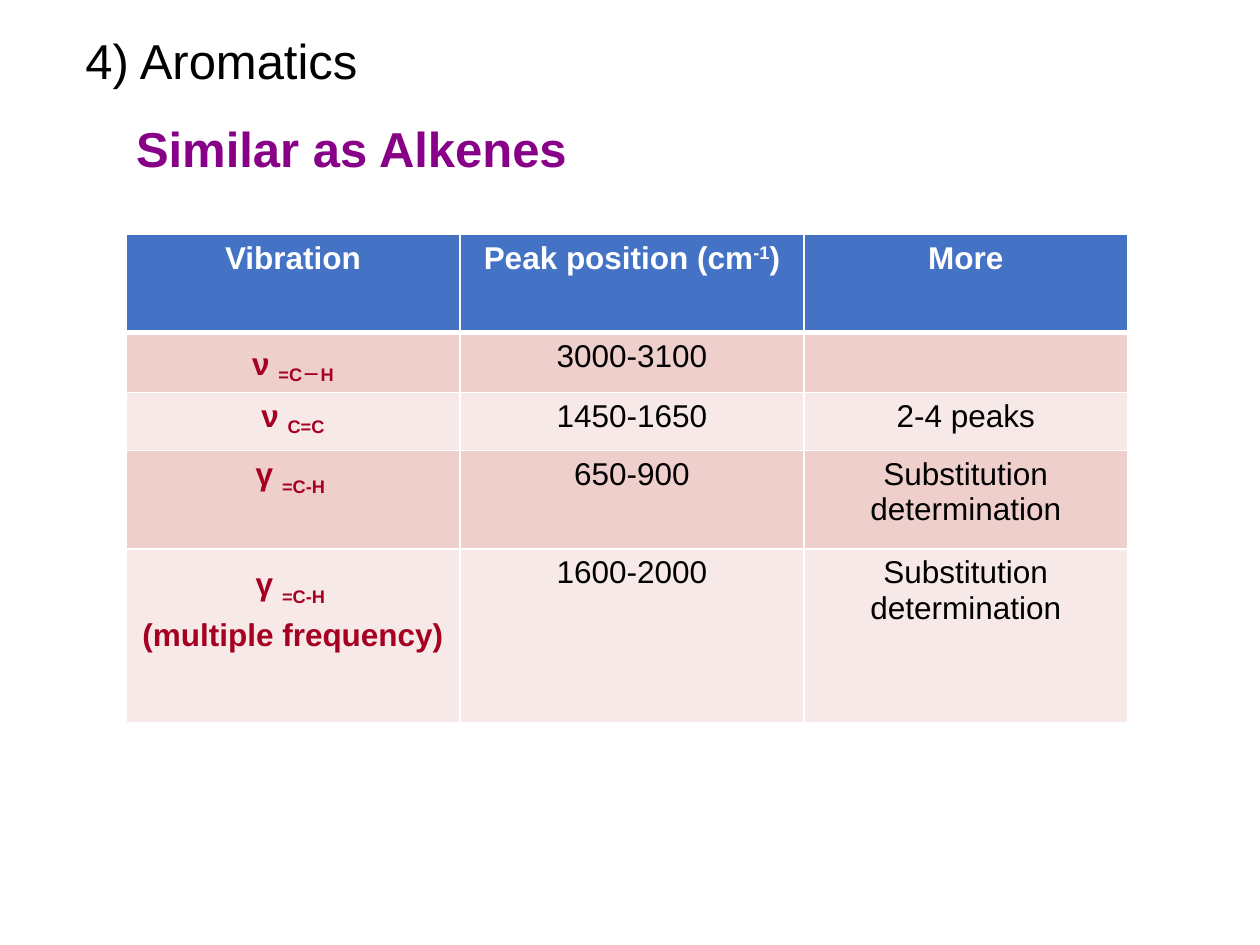
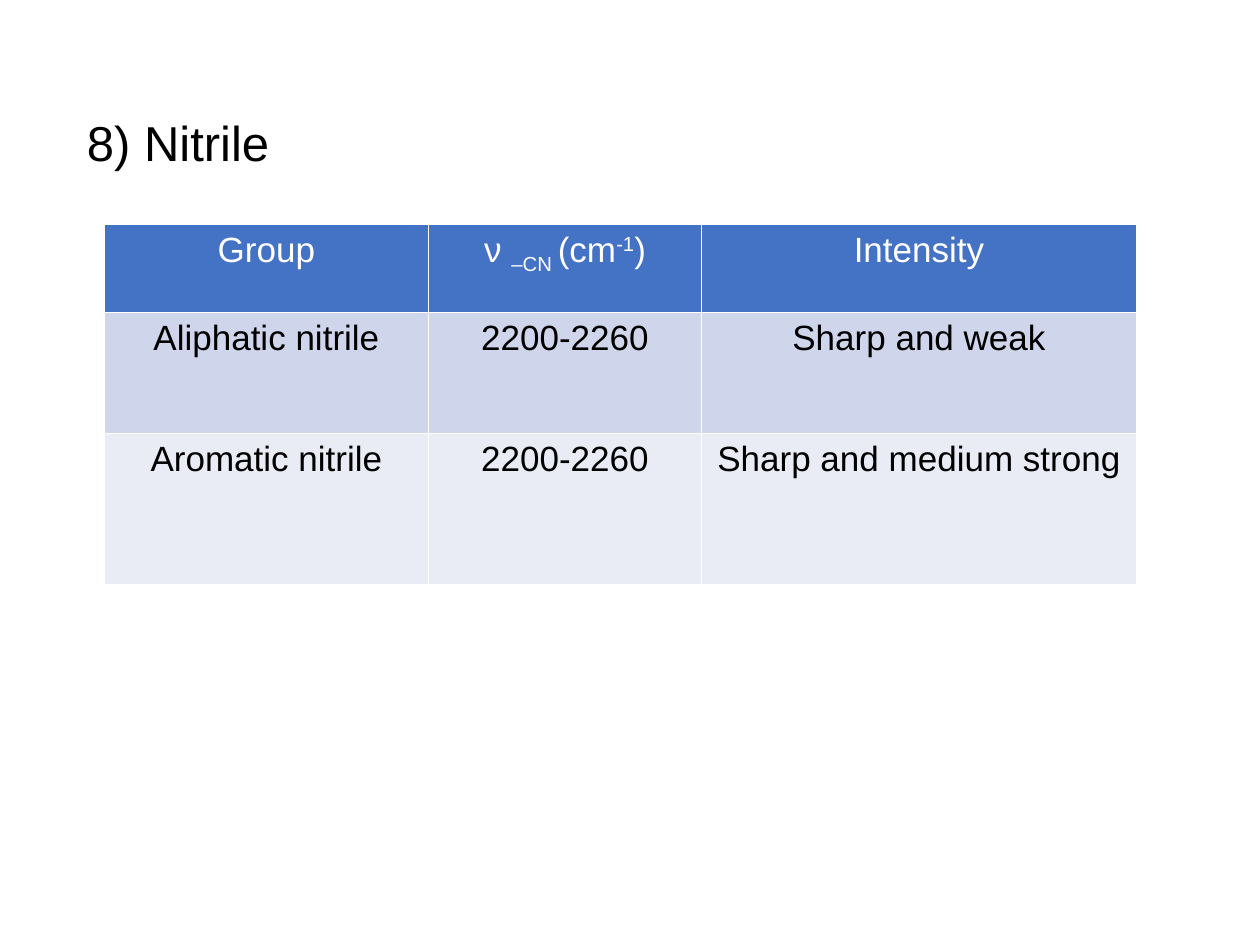
from lxml.etree import SubElement
from pptx import Presentation
from pptx.dml.color import RGBColor
from pptx.enum.text import MSO_ANCHOR, MSO_AUTO_SIZE, PP_ALIGN
from pptx.oxml.ns import qn
from pptx.util import Inches, Pt

COLORS = {"text": "000000", "white": "FFFFFF", "heading": "880088", "vibration": "A50021",
          "header": "4472C4", "rose": "EFCFCC", "pale rose": "F7E9E7",
          "blue": "CFD5EA", "pale blue": "E9EBF5"}
FONT = "Arial"
SUB, SUPER = -25000, 30000


def write_heading(shape, text, left, top, width, height, color, bold):
    place = {"left": left, "top": top, "width": width, "height": height}
    for name, value in place.items():
        setattr(shape, name, Inches(value))
    frame = shape.text_frame
    frame.text = text
    frame_format = {"word_wrap": True, "auto_size": MSO_AUTO_SIZE.NONE,
                    "vertical_anchor": MSO_ANCHOR.MIDDLE}
    for name, value in frame_format.items():
        setattr(frame, name, value)
    heading = frame.paragraphs[0]
    heading.alignment = PP_ALIGN.LEFT
    font = heading.runs[0].font
    for name, value in {"name": FONT, "size": Pt(28), "bold": bold}.items():
        setattr(font, name, value)
    font.color.rgb = RGBColor.from_string(COLORS[color])


def add_peak_table(slide, left, top, columns, heights, rows, size, bands, bold_header,
                   first_color, header_rule):
    table = slide.shapes.add_table(len(rows), len(columns), Inches(left), Inches(top),
                                   Inches(sum(columns)), Inches(sum(heights))).table
    for column, width in zip(table.columns, columns):
        column.width = Inches(width)
    for r, (row, height) in enumerate(zip(rows, heights)):
        table.rows[r].height = Inches(height)
        for c, content in enumerate(row):
            cell = table.cell(r, c)
            properties = cell._tc.get_or_add_tcPr()
            rules = {"lnL": 1, "lnR": 1, "lnT": header_rule if r == 1 else 1,
                     "lnB": header_rule if r == 0 else 1}
            for side, points in rules.items():
                rule = SubElement(properties, qn(f"a:{side}"), w=str(Pt(points)))
                paint = SubElement(rule, qn("a:solidFill"))
                SubElement(paint, qn("a:srgbClr"), val=COLORS["white"])
            cell.fill.solid()
            fill = "header" if r == 0 else bands[(r - 1) % 2]
            cell.fill.fore_color.rgb = RGBColor.from_string(COLORS[fill])
            color = "white" if r == 0 else first_color if c == 0 else "text"
            bold = bold_header if r == 0 else color == "vibration"
            lines = [[(content, 0)]] if isinstance(content, str) else content
            for i, line in enumerate(lines):
                frame = cell.text_frame
                paragraph = frame.paragraphs[0] if i == 0 else frame.add_paragraph()
                paragraph.alignment = PP_ALIGN.CENTER
                if len(lines) > 1:
                    paragraph.line_spacing = 1.3
                for text, baseline in line:
                    run = paragraph.add_run()
                    run.text = text
                    for name, value in {"name": FONT, "size": Pt(size), "bold": bold}.items():
                        setattr(run.font, name, value)
                    run.font.color.rgb = RGBColor.from_string(COLORS[color])
                    if baseline:
                        run._r.get_or_add_rPr().set("baseline", str(baseline))


presentation = Presentation()
presentation.slide_width = Inches(10)
presentation.slide_height = Inches(7.5)
title_only = presentation.slide_layouts[5]

aromatics = presentation.slides.add_slide(title_only)
write_heading(aromatics.shapes.title, "Similar as Alkenes", 0.98, 0.84, 8.58, 0.67, "heading", True)
section = aromatics.shapes.add_textbox(0, 0, 0, 0)
write_heading(section, "4) Aromatics", 0.58, 0.19, 2.57, 0.57, "text", False)
bending = [("γ ", 0), ("=C-H ", SUB)]
aromatic_rows = [
    ["Vibration", [[("Peak position (cm", 0), ("-1", SUPER), (")", 0)]], "More"],
    [[[("ν ", 0), ("=C－H", -18000)]], "3000-3100", ""],
    [[[("ν ", 0), ("C=C", -18000)]], "1450-1650", "2-4 peaks"],
    [[bending], "650-900", "Substitution determination"],
    [[bending, [("(multiple frequency)", 0)]], "1600-2000", "Substitution determination"],
]
add_peak_table(aromatics, 1, 1.86, [2.65, 2.73, 2.57], [0.78, 0.46, 0.46, 0.78, 1.38],
               aromatic_rows, 18, ["rose", "pale rose"], True, "vibration", 3)

nitrile = presentation.slides.add_slide(title_only)
write_heading(nitrile.shapes.title, "8) Nitrile", 0.59, 0.84, 8.74, 0.57, "text", False)
nitrile_rows = [
    ["Group", [[("ν ", 0), ("–CN ", SUB), ("(cm", 0), ("-1", SUPER), (")", 0)]], "Intensity"],
    ["Aliphatic nitrile", "2200-2260", "Sharp and weak"],
    ["Aromatic nitrile", "2200-2260", "Sharp and medium strong"],
]
add_peak_table(nitrile, 0.83, 1.78, [2.57, 2.17, 3.45], [0.7, 0.96, 1.2],
               nitrile_rows, 20, ["blue", "pale blue"], False, "text", 1)

presentation.save("out.pptx")
